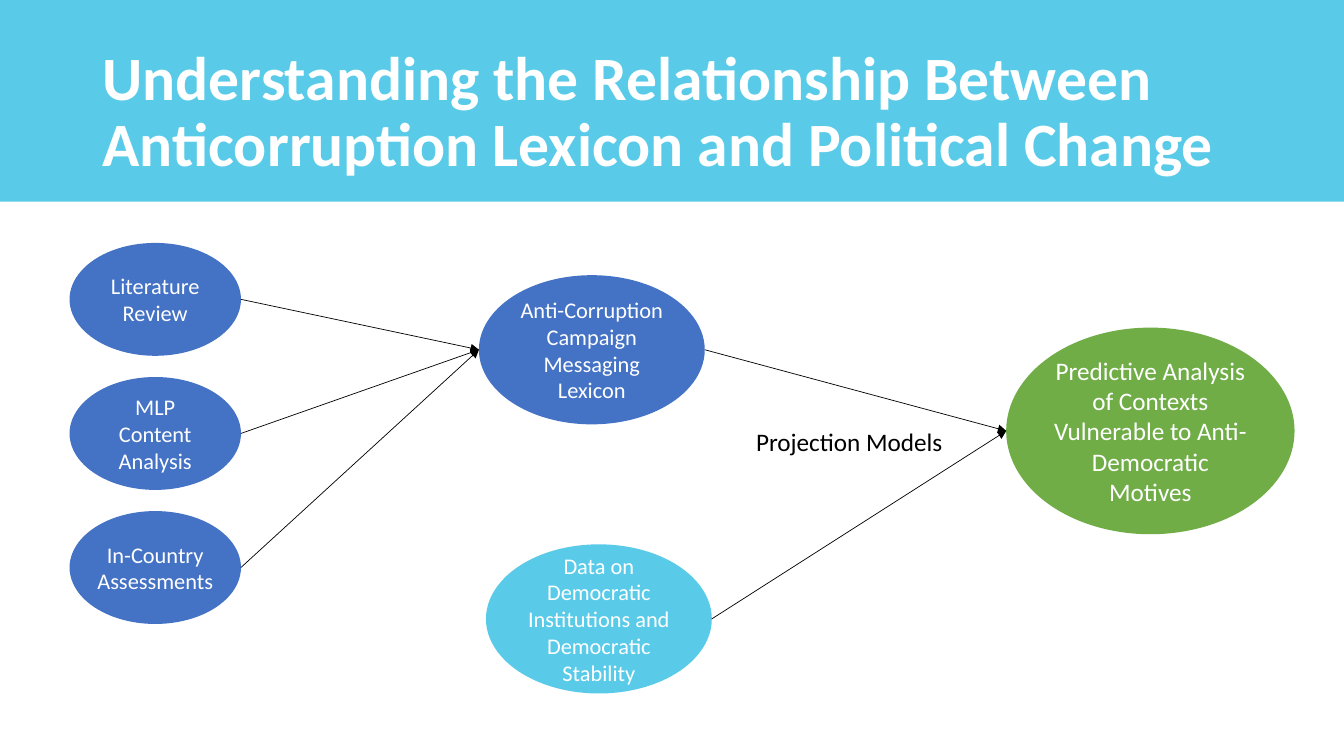
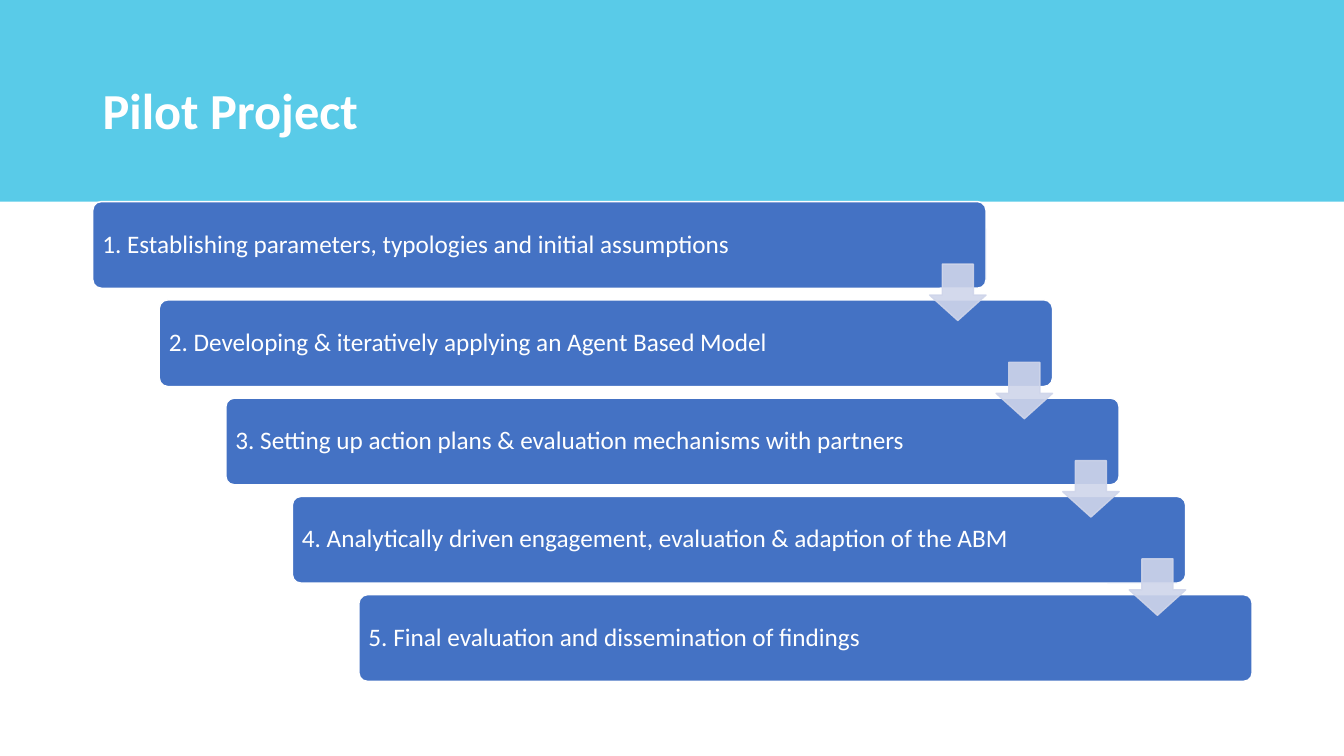
"""Builds two slides on anticorruption lexicon research: a concept map and a pilot project."""
from lxml.etree import SubElement
from pptx import Presentation
from pptx.dml.color import RGBColor
from pptx.enum.shapes import MSO_CONNECTOR, MSO_SHAPE
from pptx.enum.text import MSO_ANCHOR, PP_ALIGN
from pptx.oxml.ns import qn
from pptx.util import Inches, Pt

FONT = "Calibri"
SKY = RGBColor(0x59, 0xCB, 0xE8)
BLUE = RGBColor(0x44, 0x72, 0xC4)
GREEN = RGBColor(0x70, 0xAD, 0x47)
PALE = RGBColor(0xCF, 0xD5, 0xEA)
WHITE = RGBColor(0xFF, 0xFF, 0xFF)
BLACK = RGBColor(0x00, 0x00, 0x00)

SLIDE_WIDTH, SLIDE_HEIGHT, BAND_HEIGHT = 13.33, 7.5, 2
ELLIPSE_LEFT, ELLIPSE_RIGHT = 2, 6

MAP_TITLE = "Understanding the Relationship Between Anticorruption Lexicon and Political Change"
SOURCES = ["Literature Review", "MLP Content Analysis", "In-Country Assessments"]
SOURCE_LEFT, SOURCE_TOP, SOURCE_STEP = 0.69, 2.41, 1.33
LEXICON = "Anti-Corruption Campaign Messaging Lexicon"
DEMOCRACY_DATA = "Data on Democratic Institutions and Democratic Stability"
PREDICTION = "Predictive Analysis of Contexts Vulnerable to Anti-Democratic Motives"
MODELS = "Projection Models"

PILOT_TITLE = "Pilot Project"
STEPS = [
    "Establishing parameters, typologies and initial assumptions",
    "Developing & iteratively applying an Agent Based Model",
    "Setting up action plans & evaluation mechanisms with partners",
    "Analytically driven engagement, evaluation & adaption of the ABM",
    "Final evaluation and dissemination of findings",
]
STEP_LEFT, STEP_WIDTH, STEP_HEIGHT = 0.92, 8.86, 0.86
FIRST_STEP_TOP, LAST_STEP_TOP = 2, 5.9
STEP_RIGHTWARD = 0.66
STEP_DOWNWARD = (LAST_STEP_TOP - FIRST_STEP_TOP) / (len(STEPS) - 1)
ARROW_SIZE, ARROW_DROP = 0.56, 0.62


def write(shape, text, size=18, color=WHITE, bold=False, align=PP_ALIGN.LEFT,
          anchor=MSO_ANCHOR.MIDDLE, inset=None, spacing=None, wrap=True):
    frame = shape.text_frame
    frame.word_wrap = wrap
    frame.vertical_anchor = anchor
    if inset is not None:
        frame.margin_left = frame.margin_right = Inches(inset)
        frame.margin_top = frame.margin_bottom = Inches(inset)
    paragraph = frame.paragraphs[0]
    paragraph.alignment = align
    paragraph.line_spacing = spacing
    run = paragraph.add_run()
    run.text = text
    run.font.name, run.font.size, run.font.bold = FONT, Pt(size), bold
    run.font.color.rgb = color


def add_box(slide, preset, left, top, width, height, fill, line=None):
    box = slide.shapes.add_shape(preset, *map(Inches, (left, top, width, height)))
    box.shadow.inherit = False
    box.fill.solid()
    box.fill.fore_color.rgb = fill
    if line is None:
        box.line.fill.background()
    else:
        box.line.color.rgb = line
        box.line.width = Pt(1)
    return box


def add_titled_slide(deck, title, size):
    slide = deck.slides.add_slide(deck.slide_layouts[6])
    add_box(slide, MSO_SHAPE.RECTANGLE, 0, 0, SLIDE_WIDTH, BAND_HEIGHT, SKY)
    heading = slide.shapes.add_textbox(Inches(0.92), Inches(0.4), Inches(11.5), Inches(1.45))
    write(heading, title, size=size, bold=True, spacing=0.9)
    return slide


def add_idea(slide, text, left, top, width, height, fill=BLUE, size=16):
    idea = add_box(slide, MSO_SHAPE.OVAL, left, top, width, height, fill)
    write(idea, text, size=size, align=PP_ALIGN.CENTER, inset=0.02)
    return idea


def link(slide, origin, target):
    arrow = slide.shapes.add_connector(
        MSO_CONNECTOR.STRAIGHT,
        origin.left + origin.width, origin.top + origin.height // 2,
        target.left, target.top + target.height // 2)
    arrow.line.color.rgb = BLACK
    arrow.line.width = Pt(0.5)
    SubElement(arrow.line._get_or_add_ln(), qn("a:tailEnd"), type="triangle")
    SubElement(arrow._element.spPr, qn("a:effectLst"))
    joints = arrow._element.nvCxnSpPr.cNvCxnSpPr
    for tag, idea, site in (("a:stCxn", origin, ELLIPSE_RIGHT), ("a:endCxn", target, ELLIPSE_LEFT)):
        SubElement(joints, qn(tag), id=str(idea.shape_id), idx=str(site))


def build_concept_map(deck):
    slide = add_titled_slide(deck, MAP_TITLE, 44)
    sources = [add_idea(slide, text, SOURCE_LEFT, SOURCE_TOP + row * SOURCE_STEP, 1.7, 1.12)
               for row, text in enumerate(SOURCES)]
    lexicon = add_idea(slide, LEXICON, 4.75, 2.73, 2.24, 1.48)
    democracy_data = add_idea(slide, DEMOCRACY_DATA, 4.82, 5.4, 2.24, 1.48, fill=SKY)
    prediction = add_idea(slide, PREDICTION, 9.98, 3.25, 2.86, 2.05, fill=GREEN, size=18)
    models = slide.shapes.add_textbox(Inches(7.4), Inches(4.18), Inches(2.09), Inches(0.4))
    write(models, MODELS, color=BLACK, anchor=MSO_ANCHOR.TOP, wrap=False)
    for source in sources:
        link(slide, source, lexicon)
    for evidence in (lexicon, democracy_data):
        link(slide, evidence, prediction)


def add_step_arrow(slide, left, top):
    arrow = add_box(slide, MSO_SHAPE.DOWN_ARROW, left, top, ARROW_SIZE, ARROW_SIZE, PALE, line=PALE)
    arrow.adjustments[0], arrow.adjustments[1] = 0.55, 0.45
    for color in arrow._element.spPr.iter(qn("a:srgbClr")):
        SubElement(color, qn("a:alpha"), val="90000")


def build_pilot_project(deck):
    slide = add_titled_slide(deck, PILOT_TITLE, 36)
    places = [(STEP_LEFT + i * STEP_RIGHTWARD, FIRST_STEP_TOP + i * STEP_DOWNWARD)
              for i in range(len(STEPS))]
    for number, (text, (left, top)) in enumerate(zip(STEPS, places), 1):
        step = add_box(slide, MSO_SHAPE.ROUNDED_RECTANGLE, left, top,
                       STEP_WIDTH, STEP_HEIGHT, BLUE, line=WHITE)
        step.adjustments[0] = 0.1
        write(step, f"{number}. {text}", inset=0.07, spacing=0.9)
    for left, top in places[:-1]:
        add_step_arrow(slide, left + STEP_WIDTH - ARROW_SIZE, top + ARROW_DROP)


def main():
    deck = Presentation()
    deck.slide_width, deck.slide_height = Inches(SLIDE_WIDTH), Inches(SLIDE_HEIGHT)
    build_concept_map(deck)
    build_pilot_project(deck)
    deck.save("out.pptx")


if __name__ == "__main__":
    main()
